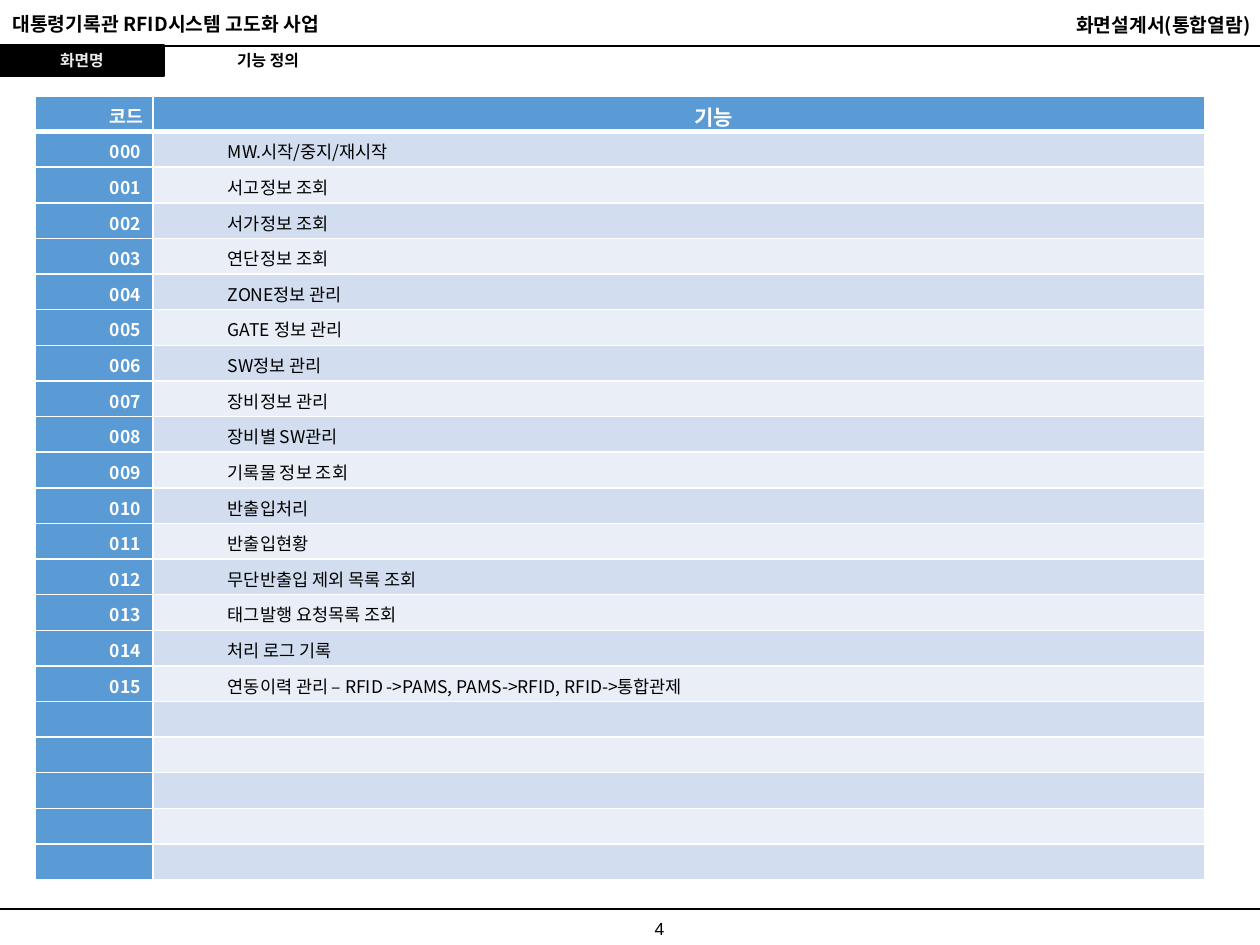
from lxml.etree import SubElement
from pptx import Presentation
from pptx.dml.color import RGBColor
from pptx.enum.shapes import MSO_CONNECTOR as Connector, MSO_SHAPE as Shape
from pptx.enum.text import MSO_ANCHOR as Anchor, MSO_AUTO_SIZE as AutoSize, PP_ALIGN as Align
from pptx.oxml.ns import qn
from pptx.util import Emu, Pt

PX_PER_INCH = 126
COLORS = {
    "black": "000000", "white": "FFFFFF", "label": "EAEAEA",
    "blue": "5B9BD5", "band_dark": "D2DEEF", "band_light": "EAEFF7",
}
KOREAN = "Noto Sans CJK KR"
FUNCTIONS = [
    "MW.시작/중지/재시작", "서고정보 조회", "서가정보 조회", "연단정보 조회",
    "ZONE정보 관리", "GATE 정보 관리", "SW정보 관리", "장비정보 관리",
    "장비별 SW관리", "기록물 정보 조회", "반출입처리", "반출입현황",
    "무단반출입 제외 목록 조회", "태그발행 요청목록 조회", "처리 로그 기록",
    "연동이력 관리 – RFID ->PAMS, PAMS->RFID, RFID->통합관제",
]
EMPTY_ROWS = 5


def px(length):
    return Emu(round(length * 914400 / PX_PER_INCH))


def rgb(name):
    return RGBColor.from_string(COLORS[name])


def apply(target, values):
    for key, value in values.items():
        setattr(target, key, value)


def write(paragraph, text, size, color="black", bold=True, face=KOREAN, align=Align.LEFT):
    paragraph.alignment = align
    run = paragraph.add_run()
    run.text = text
    apply(run.font, {"size": Pt(size), "bold": bold, "name": face})
    run.font.color.rgb = rgb(color)
    SubElement(run.font._element, qn("a:ea"), typeface=face)


def fill_frame(holder, text, size, wrap=True, **style):
    frame = holder.text_frame
    apply(frame, {
        "word_wrap": wrap, "auto_size": AutoSize.NONE, "vertical_anchor": Anchor.MIDDLE,
        "margin_top": 0, "margin_bottom": 0,
    })
    write(frame.paragraphs[0], text, size, **style)


def add_label(slide, box, text, size, **style):
    fill_frame(slide.shapes.add_textbox(*map(px, box)), text, size, **style)


def add_rule(slide, y):
    rule = slide.shapes.add_connector(Connector.STRAIGHT, 0, px(y), px(1260), px(y))
    rule.line.color.rgb = rgb("black")
    rule.line.width = Pt(0.75)
    SubElement(rule._element.spPr, qn("a:effectLst"))


def add_screen_tag(slide):
    tag = slide.shapes.add_shape(Shape.RECTANGLE, *map(px, (0, 45, 164, 31)))
    tag.shadow.inherit = False
    tag.fill.solid()
    tag.fill.fore_color.rgb = rgb("black")
    tag.line.color.rgb = rgb("black")
    tag.line.width = Pt(0.75)
    fill_frame(tag, "화면명", 9, wrap=False, color="label", align=Align.CENTER)


def place_title(slide):
    title = slide.shapes.title
    apply(title, dict(zip(("left", "top", "width", "height"), map(px, (164, 45, 208, 31)))))
    fill_frame(title, "기능 정의", 9, wrap=False, align=Align.CENTER)


def set_borders(cell, widths):
    properties = cell._tc.get_or_add_tcPr()
    for position, (side, width) in enumerate(widths.items()):
        border = properties.makeelement(qn(f"a:ln{side}"), {"w": str(Pt(width))})
        fill = SubElement(border, qn("a:solidFill"))
        SubElement(fill, qn("a:srgbClr"), val=COLORS["white"])
        properties.insert(position, border)


def format_cell(cell, text, fill, top, bottom, size, **style):
    cell.fill.solid()
    cell.fill.fore_color.rgb = rgb(fill)
    apply(cell, {
        "vertical_anchor": Anchor.MIDDLE, "margin_left": px(5), "margin_right": px(5),
        "margin_top": 0, "margin_bottom": 0,
    })
    set_borders(cell, {"L": 1, "R": 1, "T": top, "B": bottom})
    paragraph = cell.text_frame.paragraphs[0]
    if text:
        apply(paragraph, {"line_spacing": 1.15, "space_after": Pt(10)})
        paragraph._p.get_or_add_pPr().set("marL", str(px(70)))
        paragraph._p.get_or_add_pPr().set("indent", "0")
        write(paragraph, text, size, **style)
    else:
        SubElement(paragraph._p, qn("a:endParaRPr"), sz=str(size * 100))


def add_function_table(slide):
    rows = [(f"{code:03}", name) for code, name in enumerate(FUNCTIONS)]
    rows += [("", "")] * EMPTY_ROWS
    table = slide.shapes.add_table(len(rows) + 1, 2, *map(px, (35, 96, 1170, 784))).table
    for column, width in zip(table.columns, (118, 1052)):
        column.width = px(width)
    format_cell(table.cell(0, 0), "코드", "blue", 1, 3, 10.5, color="white")
    format_cell(table.cell(0, 1), "기능", "blue", 1, 3, 12, color="white", align=Align.CENTER)
    for index, (code, name) in enumerate(rows, 1):
        top = 3 if index == 1 else 1
        band = "band_dark" if index % 2 else "band_light"
        format_cell(table.cell(index, 0), code, "blue", top, 1, 10, color="white")
        format_cell(table.cell(index, 1), name, band, top, 1, 10, bold=False, align=Align.JUSTIFY)


def main():
    deck = Presentation()
    apply(deck, {"slide_width": px(1260), "slide_height": px(945)})
    slide = deck.slides.add_slide(deck.slide_layouts[5])
    add_rule(slide, 46)
    add_label(slide, (740, 7, 523, 35), "화면설계서(통합열람)", 11, align=Align.RIGHT)
    add_rule(slide, 909)
    add_screen_tag(slide)
    add_label(slide, (0, 6, 561, 36), "대통령기록관 RFID시스템 고도화 사업", 11)
    add_label(slide, (601, 911, 117, 34), "4", 10, bold=False, face="Arial", align=Align.CENTER)
    place_title(slide)
    add_function_table(slide)
    deck.save("out.pptx")


if __name__ == "__main__":
    main()
